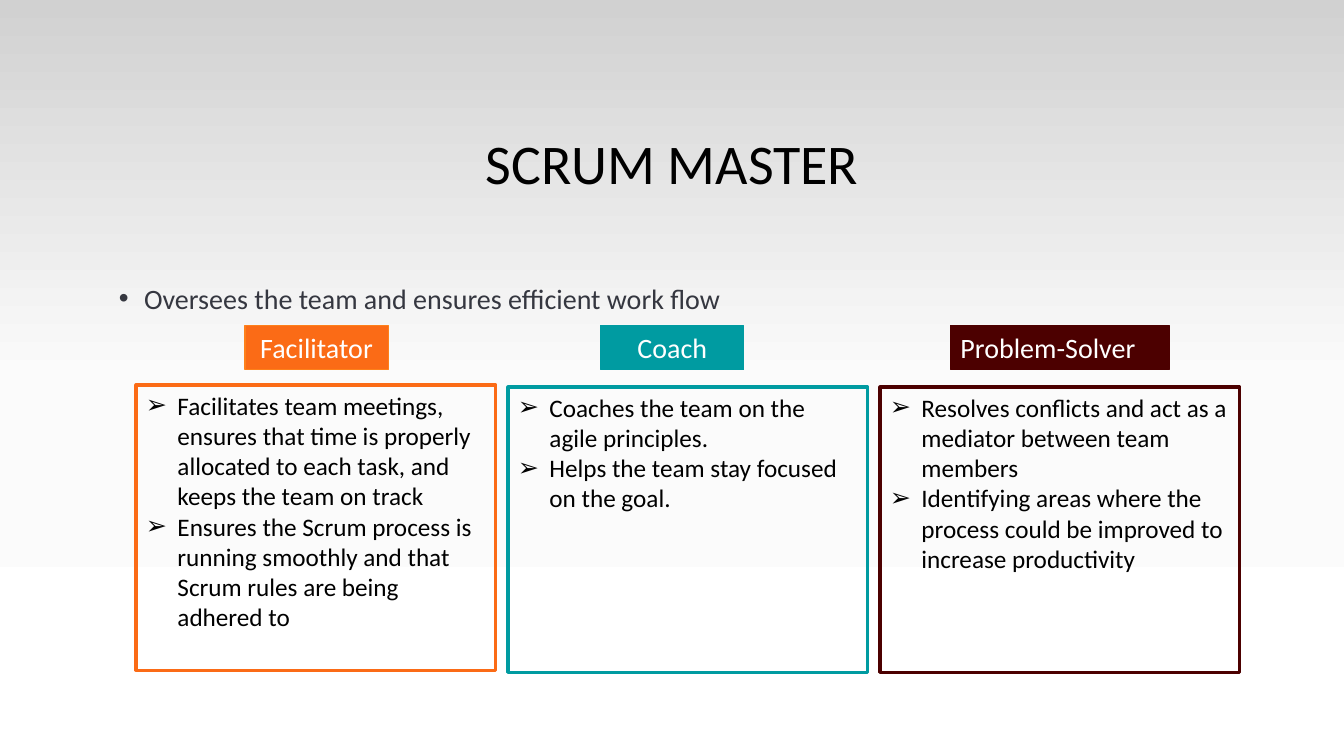
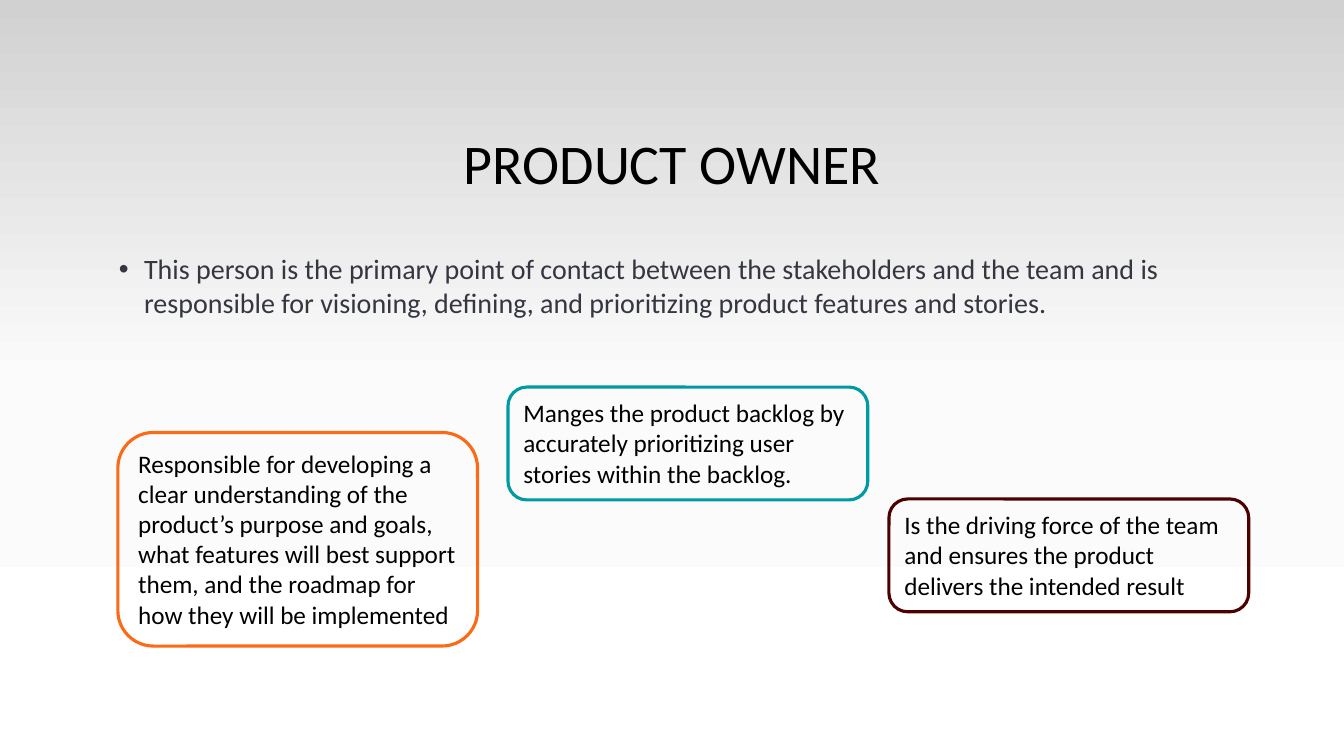
from copy import deepcopy

from lxml.etree import SubElement
from pptx import Presentation
from pptx.dml.color import RGBColor
from pptx.enum.shapes import MSO_SHAPE
from pptx.enum.text import MSO_ANCHOR, PP_ALIGN
from pptx.oxml.ns import qn
from pptx.util import Pt

FONT = "Calibri"
COLORS = {
    "black": "000000",
    "white": "FFFFFF",
    "body": "353740",
    "orange": "FB6B16",
    "light orange": "FE801A",
    "teal": "009BA1",
    "maroon": "4C0000",
}
BACKGROUND_STOPS = [(0, "D1D1D1"), (0.5, "FBFBFB"), (1, "FFFFFF")]

SLIDE_WIDTH, SLIDE_HEIGHT = 960, 540
TITLE_BOX = (0, 60.5, SLIDE_WIDTH, 116)
SUMMARY_LEFT, SUMMARY_WIDTH, SUMMARY_BOTTOM = 77.8, 829.4, 494
CARD_WIDTH = 257
ROLE_LEFT, ROLE_PITCH, ROLE_HEIGHT = 97.2, 265.7, 203.8
LABEL_TOP, LABEL_HEIGHT = 232.6, 31.7

SCRUM_MASTER = {
    "title": "SCRUM MASTER",
    "summary": "Oversees the team and ensures efficient work flow",
    "summary_top": 197.3,
}
ROLES = [
    {"name": "Facilitator", "color": "orange", "edge": "light orange",
     "label_left": 175, "label_width": 102.2, "align": PP_ALIGN.CENTER, "top": 275,
     "duties": ["Facilitates team meetings, ensures that time is properly allocated "
                "to each task, and keeps the team on track",
                "Ensures the Scrum process is running smoothly and that Scrum rules "
                "are being adhered to"]},
    {"name": "Coach", "color": "teal", "edge": "teal",
     "label_left": 429.1, "label_width": 102.2, "align": PP_ALIGN.CENTER, "top": 276.5,
     "duties": ["Coaches the team on the agile principles.",
                "Helps the team stay focused on the goal."]},
    {"name": "Problem-Solver", "color": "maroon", "edge": "maroon",
     "label_left": 679, "label_width": 156.2, "align": PP_ALIGN.LEFT, "top": 276.5,
     "duties": ["Resolves conflicts and act as a mediator between team members",
                "Identifying areas where the process could be improved to increase "
                "productivity"]},
]

PRODUCT_OWNER = {
    "title": "PRODUCT OWNER",
    "summary": "This person is the primary point of contact between the stakeholders "
               "and the team and is responsible for visioning, defining, and "
               "prioritizing product features and stories.",
    "summary_top": 176.4,
}
RESPONSIBILITIES = [
    ("Responsible for developing a clear understanding of the product’s purpose and "
     "goals, what features will best support them, and the roadmap for how they will "
     "be implemented", "orange", 84.2, 308.9, 152.6),
    ("Manges the product backlog by accurately prioritizing user stories within the "
     "backlog.", "teal", 362.9, 276.5, 80.6),
    ("Is the driving force of the team and ensures the product delivers the intended "
     "result", "maroon", 635, 356.4, 80.6),
]


def rgb(name):
    return RGBColor.from_string(COLORS[name])


def write_text(shape, paragraphs, size=18, color="black", align=PP_ALIGN.LEFT,
               anchor=MSO_ANCHOR.TOP, bullet=None, indent=0, line_spacing=None):
    frame = shape.text_frame
    frame.word_wrap = True
    frame.vertical_anchor = anchor
    for index, text in enumerate(paragraphs):
        paragraph = frame.add_paragraph() if index else frame.paragraphs[0]
        paragraph.text = text
        paragraph.alignment = align
        if line_spacing:
            paragraph.line_spacing = line_spacing
        if bullet:
            properties = paragraph._p.get_or_add_pPr()
            properties.set("marL", str(Pt(indent)))
            properties.set("indent", str(-Pt(indent)))
            SubElement(properties, qn("a:buFont"), typeface="Arial")
            SubElement(properties, qn("a:buChar"), char=bullet)
        font = paragraph.font
        font.name, font.size = FONT, Pt(size)
        font.color.rgb = rgb(color)


def add_box(slide, kind, box, line, line_width, fill=None):
    shape = slide.shapes.add_shape(kind, *map(Pt, box))
    shape.shadow.inherit = False
    if fill:
        shape.fill.solid()
        shape.fill.fore_color.rgb = rgb(fill)
    else:
        shape.fill.background()
    shape.line.color.rgb = rgb(line)
    shape.line.width = Pt(line_width)
    return shape


def set_background(master):
    fill = master.background.fill
    fill.gradient()
    fill.gradient_angle = 270
    stop_list = master.element.find(".//" + qn("a:gsLst"))
    stop_list.append(deepcopy(stop_list[-1]))
    for stop, (position, color) in zip(fill.gradient_stops, BACKGROUND_STOPS):
        stop.position = position
        stop.color.rgb = RGBColor.from_string(color)


def add_topic_slide(presentation, topic):
    slide = presentation.slides.add_slide(presentation.slide_layouts[5])
    title = slide.shapes.title
    title.left, title.top, title.width, title.height = map(Pt, TITLE_BOX)
    write_text(title, [topic["title"]], size=40, align=PP_ALIGN.CENTER,
               anchor=MSO_ANCHOR.MIDDLE, line_spacing=0.9)
    top = topic["summary_top"]
    summary = slide.shapes.add_textbox(
        *map(Pt, (SUMMARY_LEFT, top, SUMMARY_WIDTH, SUMMARY_BOTTOM - top)))
    write_text(summary, [topic["summary"]], size=20, color="body", bullet="•", indent=18)
    return slide


def add_role(slide, index, role):
    card_box = (ROLE_LEFT + index * ROLE_PITCH, role["top"], CARD_WIDTH, ROLE_HEIGHT)
    card = add_box(slide, MSO_SHAPE.RECTANGLE, card_box, role["color"], 2.25)
    write_text(card, role["duties"], bullet="➢", indent=22.5)
    label_box = (role["label_left"], LABEL_TOP, role["label_width"], LABEL_HEIGHT)
    label = add_box(slide, MSO_SHAPE.RECTANGLE, label_box, role["edge"], 0.75,
                    fill=role["color"])
    write_text(label, [role["name"]], size=20, color="white", align=role["align"])


def main():
    presentation = Presentation()
    presentation.slide_width, presentation.slide_height = Pt(SLIDE_WIDTH), Pt(SLIDE_HEIGHT)
    set_background(presentation.slide_master)

    slide = add_topic_slide(presentation, SCRUM_MASTER)
    for index, role in enumerate(ROLES):
        add_role(slide, index, role)

    slide = add_topic_slide(presentation, PRODUCT_OWNER)
    for text, color, left, top, height in RESPONSIBILITIES:
        card = add_box(slide, MSO_SHAPE.ROUNDED_RECTANGLE,
                       (left, top, CARD_WIDTH, height), color, 2.25)
        write_text(card, [text])

    presentation.save("out.pptx")


if __name__ == "__main__":
    main()
